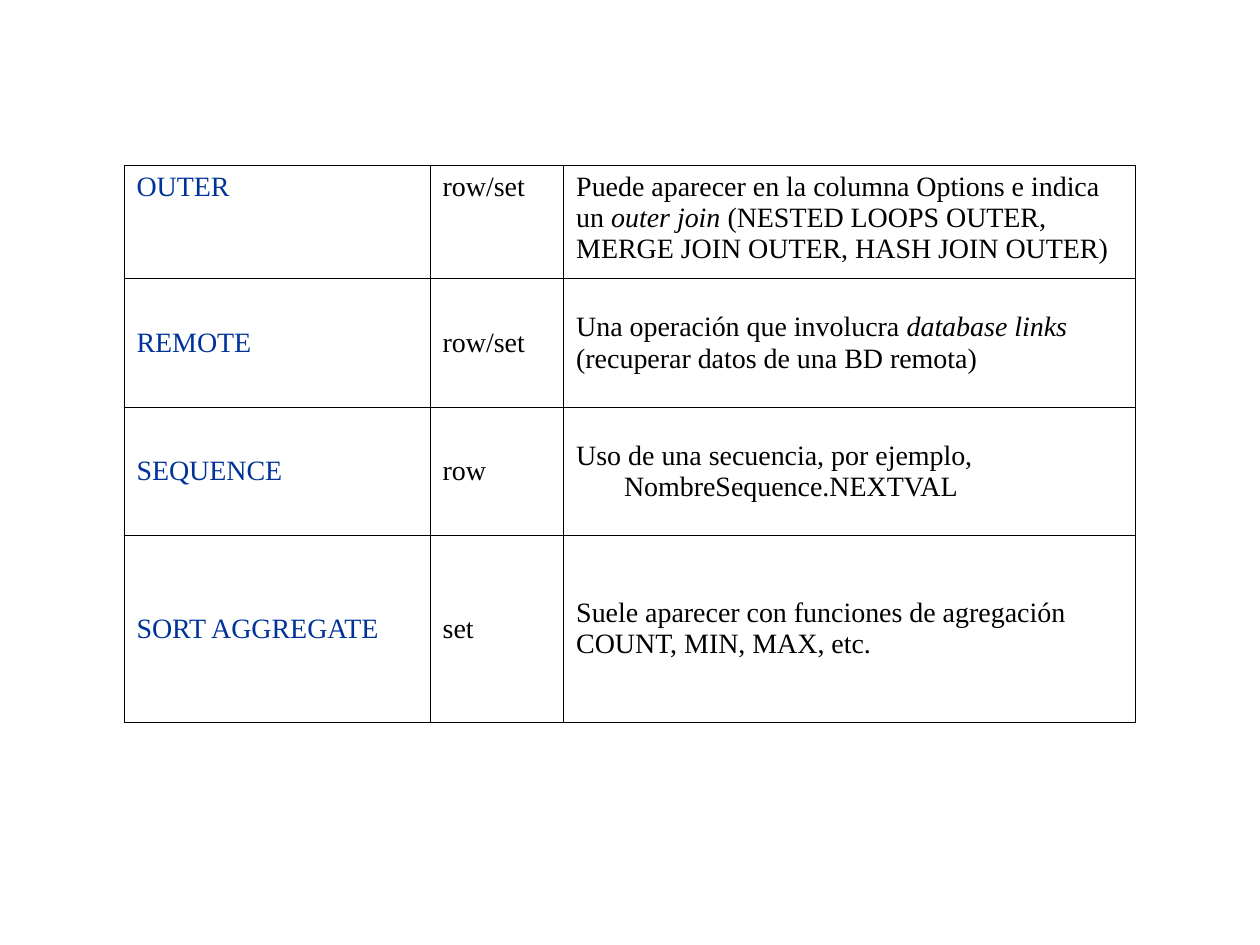
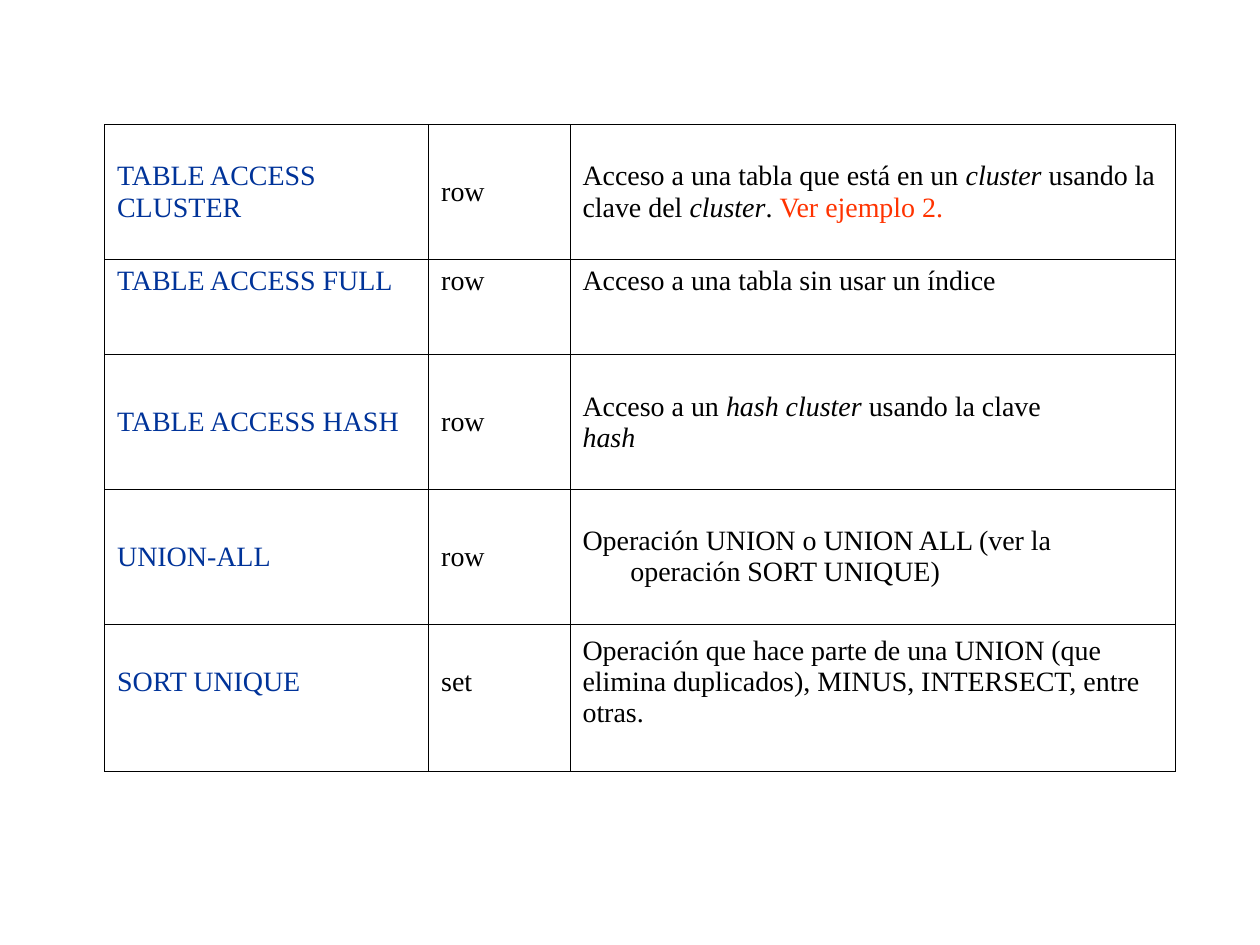
"""Build two slides that list query plan operations in ruled tables."""
from dataclasses import dataclass

from lxml import etree
from pptx import Presentation
from pptx.dml.color import RGBColor
from pptx.enum.text import MSO_ANCHOR
from pptx.oxml.ns import qn
from pptx.slide import Slide
from pptx.table import _Cell
from pptx.util import Inches, Pt

TOP = MSO_ANCHOR.TOP
MID = MSO_ANCHOR.MIDDLE
WIDE, HIGH = Inches(10), Inches(7.5)
BLANK = 6


@dataclass(frozen=True)
class Theme:
    """Hold the colours, type and line sizes shared by the slides."""
    name: str = "003399"
    text: str = "000000"
    note: str = "FF3300"
    rule: str = "000000"
    font: str = "Times New Roman"
    size: float = 16
    line: float = 0.45
    hang: float = 0.38
    side: float = 0.1
    edge: float = 0.05
    cols: tuple[float, ...] = (30.26, 13.2, 56.54)


THEME = Theme()


@dataclass(frozen=True)
class Run:
    """Hold a piece of text with one format."""
    text: str
    italic: bool = False
    color: str = THEME.text


Line = tuple[Run, ...]


@dataclass(frozen=True)
class Entry:
    """Hold one table row, its height a percentage of the slide."""
    name: tuple[str, ...]
    kind: str
    lines: tuple[Line, ...]
    high: float
    anchor: MSO_ANCHOR = MID
    foot: float = THEME.edge


@dataclass(frozen=True)
class Sheet:
    """Hold one slide's table, placed in percentages of the slide."""
    left: float
    top: float
    wide: float
    rows: tuple[Entry, ...]


def share(part: float, whole: int) -> int:
    """Return a percentage of a length."""
    return round(whole * part / 100)


def plain(*texts: str) -> tuple[Line, ...]:
    """Return one unformatted line for each text."""
    return tuple((Run(text),) for text in texts)


def apply(target: object, values: dict[str, object]) -> None:
    """Set each format value on the target."""
    for key, value in values.items():
        setattr(target, key, value)


def frame(cell: _Cell) -> None:
    """Rule all four sides of a cell and clear its fill."""
    props = cell._tc.get_or_add_tcPr()
    for side in ("lnL", "lnR", "lnT", "lnB"):
        line = etree.SubElement(props, qn(f"a:{side}"), w=str(Pt(THEME.line)))
        fill = etree.SubElement(line, qn("a:solidFill"))
        etree.SubElement(fill, qn("a:srgbClr"), val=THEME.rule)
    cell.fill.background()


def write(cell: _Cell, lines: tuple[Line, ...], entry: Entry) -> None:
    """Fill a cell with hanging paragraphs."""
    apply(cell, {
        "vertical_anchor": entry.anchor,
        "margin_left": Inches(THEME.side),
        "margin_right": Inches(THEME.side),
        "margin_top": Inches(THEME.edge),
        "margin_bottom": Inches(entry.foot),
    })
    body = cell.text_frame
    for index, line in enumerate(lines):
        para = body.add_paragraph() if index else body.paragraphs[0]
        props = para._p.get_or_add_pPr()
        props.set("marL", str(Inches(THEME.hang)))
        props.set("indent", str(-Inches(THEME.hang)))
        for piece in line:
            run = para.add_run()
            run.text = piece.text
            apply(run.font, {
                "name": THEME.font,
                "size": Pt(THEME.size),
                "bold": False,
                "italic": piece.italic,
            })
            run.font.color.rgb = RGBColor.from_string(piece.color)


def draw(slide: Slide, sheet: Sheet) -> None:
    """Draw the table of a sheet."""
    wide = share(sheet.wide, WIDE)
    high = share(sum(entry.high for entry in sheet.rows), HIGH)
    table = slide.shapes.add_table(
        len(sheet.rows), len(THEME.cols),
        share(sheet.left, WIDE), share(sheet.top, HIGH), wide, high).table
    apply(table, {"first_row": False, "horz_banding": False})
    for col, part in zip(table.columns, THEME.cols):
        col.width = share(part, wide)
    for row, entry in zip(table.rows, sheet.rows):
        row.height = share(entry.high, HIGH)
        name = tuple((Run(text, color=THEME.name),) for text in entry.name)
        for cell, lines in zip(row.cells, (name, plain(entry.kind), entry.lines)):
            frame(cell)
            write(cell, lines, entry)


SHEETS = (
    Sheet(9.84, 17.5, 80.3, (
        Entry(("OUTER",), "row/set", (
            (Run("Puede aparecer en la columna Options e indica"),),
            (Run("un "), Run("outer join ", True), Run("(NESTED LOOPS OUTER,")),
            (Run("MERGE JOIN OUTER, HASH JOIN OUTER)"),),
        ), 12, TOP),
        Entry(("REMOTE",), "row/set", (
            (Run("Una operación que involucra "), Run("database links", True)),
            (Run("(recuperar datos de una BD remota)"),),
        ), 13.6),
        Entry(("SEQUENCE",), "row", plain(
            "Uso de una secuencia, por ejemplo, NombreSequence.NEXTVAL"), 13.6),
        Entry(("SORT AGGREGATE",), "set", plain(
            "Suele aparecer con funciones de agregación",
            "COUNT, MIN, MAX, etc."), 19.73),
    )),
    Sheet(8.3, 13.2, 85, (
        Entry(("TABLE ACCESS", "CLUSTER"), "row", (
            (Run("Acceso a una tabla que está en un "), Run("cluster", True),
             Run(" usando la")),
            (Run("clave del "), Run("cluster", True), Run(". "),
             Run("Ver ejemplo 2.", color=THEME.note)),
        ), 14.25),
        Entry(("TABLE ACCESS FULL",), "row", plain(
            "Acceso a una tabla sin usar un índice"), 10.1, TOP),
        Entry(("TABLE ACCESS HASH",), "row", (
            (Run("Acceso a un "), Run("hash cluster ", True),
             Run("usando la clave")),
            (Run("hash", True),),
        ), 14.25),
        Entry(("UNION-ALL",), "row", plain(
            "Operación UNION o UNION ALL (ver la operación SORT UNIQUE)"), 14.25),
        Entry(("SORT UNIQUE",), "set", plain(
            "Operación que hace parte de una UNION (que",
            "elimina duplicados), MINUS, INTERSECT, entre",
            "otras."), 15.6, foot=0.3),
    )),
)


def main() -> None:
    """Build and save the deck."""
    deck = Presentation()
    apply(deck, {"slide_width": WIDE, "slide_height": HIGH})
    for sheet in SHEETS:
        draw(deck.slides.add_slide(deck.slide_layouts[BLANK]), sheet)
    deck.save("out.pptx")


main()
